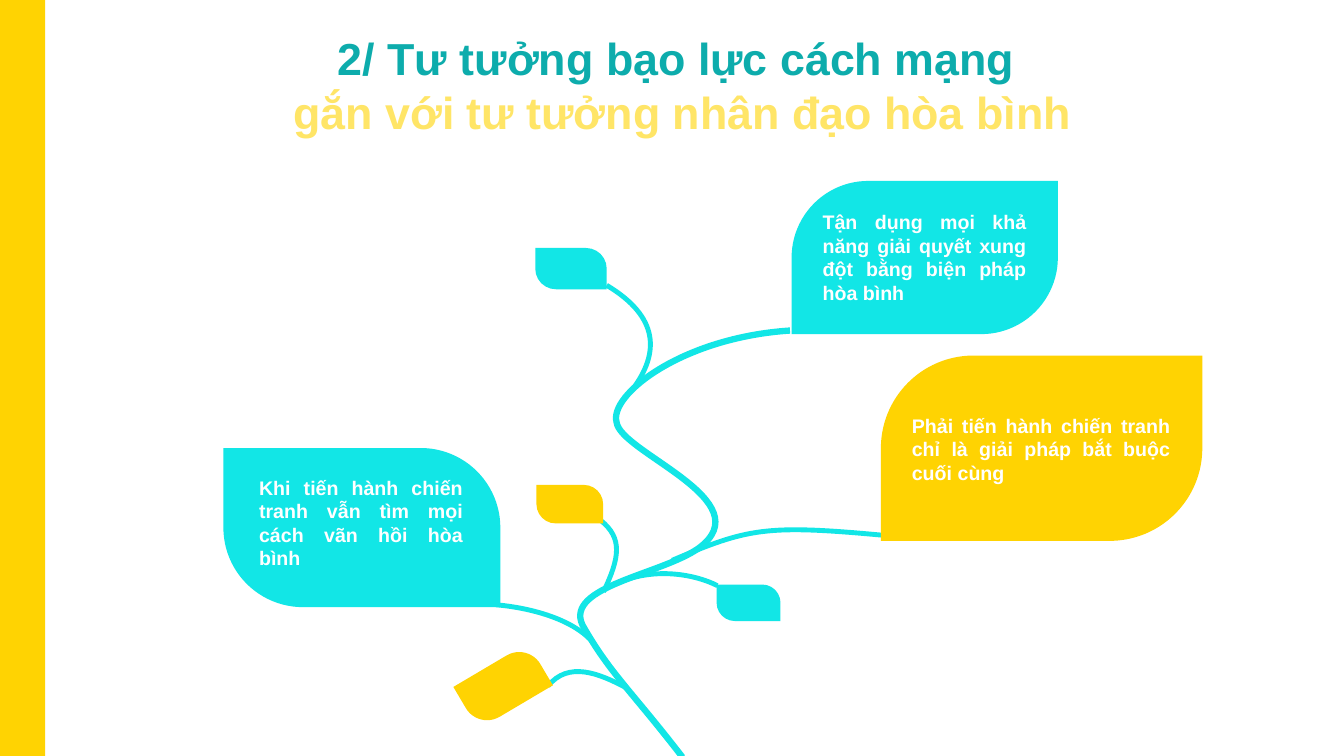
import math
from dataclasses import dataclass

from lxml import etree
from pptx import Presentation
from pptx import util as u
from pptx.dml.color import RGBColor
from pptx.enum import shapes, text
from pptx.oxml import ns


@dataclass(frozen=True)
class Theme:
    cyan: str = "12E6E6"
    yellow: str = "FFD302"
    teal: str = "0DACAC"
    pale: str = "FFE567"
    white: str = "FFFFFF"
    font: str = "Arial"
    title_size: int = 32
    label_size: int = 14
    stem_width: float = 4.5
    twig_width: float = 3.5


def turn(points, center, degrees):
    """Points turned clockwise about a center."""
    cos, sin = math.cos(math.radians(degrees)), math.sin(math.radians(degrees))
    (cx, cy) = center
    return [(cx + (x - cx) * cos - (y - cy) * sin,
             cy + (x - cx) * sin + (y - cy) * cos) for x, y in points]


def curve_bounds(points, steps=40):
    """Opposite corners of the box around a chain of cubic curves."""
    curve = []
    for first in range(0, len(points) - 1, 3):
        a, b, c, d = points[first:first + 4]
        for step in range(steps + 1):
            t = step / steps
            s = 1 - t
            curve.append([
                s**3 * a[i] + 3 * s * s * t * b[i] + 3 * s * t * t * c[i] + t**3 * d[i]
                for i in (0, 1)])
    across, down = zip(*curve)
    return (min(across), min(down)), (max(across), max(down))


class Painter:
    def __init__(self, page, theme):
        self.page = page
        self.theme = theme

    def block(self, kind, place, color):
        shape = self.page.shapes.add_shape(kind, *map(u.Cm, place))
        shape.shadow.inherit = False
        shape.fill.solid()
        shape.fill.fore_color.rgb = RGBColor.from_string(color)
        shape.line.fill.background()
        return shape

    def leaf(self, place, color, rounded, rotation=0):
        shape = self.block(shapes.MSO_SHAPE.ROUND_2_DIAG_RECTANGLE, place, color)
        for index, amount in enumerate(rounded):
            shape.adjustments[index] = amount
        shape.rotation = rotation

    def branch(self, points, width, center=(0, 0), rotation=0):
        points = turn(points, center, -rotation)
        (left, top), (right, bottom) = curve_bounds(points)
        builder = self.page.shapes.build_freeform(u.Cm(left), u.Cm(top))
        builder.add_line_segments([(u.Cm(right), u.Cm(bottom))], close=False)
        shape = builder.convert_to_shape()
        shape.rotation = rotation % 360
        shape.shadow.inherit = False
        shape.fill.background()
        shape.line.color.rgb = RGBColor.from_string(self.theme.cyan)
        shape.line.width = u.Pt(width)

        # Cubic curves take the place of the straight outline
        outline = shape.element.find(".//" + ns.qn("a:path"))
        for command in list(outline):
            outline.remove(command)
        chain = [("a:moveTo", points[:1])]
        chain += [("a:cubicBezTo", points[i:i + 3]) for i in range(1, len(points), 3)]
        for tag, stops in chain:
            command = etree.SubElement(outline, ns.qn(tag))
            for x, y in stops:
                etree.SubElement(command, ns.qn("a:pt"),
                                 x=str(int(u.Cm(x - left))), y=str(int(u.Cm(y - top))))

    def words(self, place, lines, size, align):
        box = self.page.shapes.add_textbox(*map(u.Cm, place))
        frame = box.text_frame
        frame.word_wrap = True
        for index, (wording, color) in enumerate(lines):
            para = frame.add_paragraph() if index else frame.paragraphs[0]
            para.alignment = align
            span = para.add_run()
            span.text = wording
            span.font.name = self.theme.font
            span.font.size = u.Pt(size)
            span.font.bold = True
            span.font.color.rgb = RGBColor.from_string(color)
        return frame

    def label(self, place, wording):
        frame = self.words(place, [(wording, self.theme.white)],
                           self.theme.label_size, text.PP_ALIGN.JUSTIFY)
        frame.auto_size = text.MSO_AUTO_SIZE.SHAPE_TO_FIT_TEXT

    def title(self, place, lines, insets):
        frame = self.words(place, lines, self.theme.title_size, text.PP_ALIGN.CENTER)
        frame.vertical_anchor = text.MSO_ANCHOR.MIDDLE
        (frame.margin_left, frame.margin_top,
         frame.margin_right, frame.margin_bottom) = map(u.Cm, insets)


STEM = [(17.2, 19.08), (15.88, 17.37), (15.37, 16.97), (14.68, 15.75),
        (14.22, 14.78), (16.66, 14.48), (17.6, 13.82),
        (19.25, 12.62), (15.62, 11.4), (15.54, 10.64),
        (15.34, 9.96), (17.17, 8.51), (19.91, 8.33)]

# Curve points, then the center and angle of a turned twig
TWIGS = [
    ([(14.91, 16.15), (14.4, 15.6), (13.39, 15.32), (12.5, 15.24)],),
    ([(15.14, 13.11), (15.7, 13.56), (15.62, 14.05), (15.21, 14.91)],
     (15.24, 13.98), 337.3),
    ([(16.94, 14.12), (18.85, 13.31), (19.28, 13.21), (22.28, 13.49)],),
    ([(15.93, 9.83), (16.64, 8.89), (16.61, 7.98), (15.29, 7.19)],),
    ([(15.6, 14.68), (16.56, 14.27), (17.58, 14.5), (18.08, 14.76)],),
    ([(15.77, 17.32), (15.06, 16.94), (14.3, 16.64), (13.79, 17.27)],
     (14.79, 17.29), 289.9),
]

# Which pair of opposite corners is rounded
RISING, FALLING = (0.5, 0), (0, 0.5)


def main():
    deck = Presentation()
    deck.slide_width, deck.slide_height = u.Cm(33.87), u.Cm(19.05)
    theme = Theme()
    painter = Painter(deck.slides.add_slide(deck.slide_layouts[6]), theme)

    # Side bar
    painter.block(shapes.MSO_SHAPE.RECTANGLE, (0, 0, 1.14, 19.05), theme.yellow)

    # Stem and twigs
    painter.branch(STEM, theme.stem_width)
    for points, *pose in TWIGS:
        painter.branch(points, theme.twig_width, *pose)

    # Small leaves
    painter.leaf((13.49, 6.25, 1.8, 1.04), theme.cyan, FALLING)
    painter.leaf((11.59, 16.67, 2.18, 1.24), theme.yellow, FALLING, 329.4)
    painter.leaf((13.52, 12.22, 1.68, 0.97), theme.yellow, FALLING)
    painter.leaf((18.06, 14.73, 1.61, 0.92), theme.cyan, FALLING)

    # Large leaves with their labels
    for leaf, color, rounded, label, wording in [
        ((19.95, 4.56, 6.71, 3.86), theme.cyan, RISING, (20.48, 5.17, 5.64, 2.64),
         "Tận dụng mọi khả năng giải quyết xung đột bằng biện pháp hòa bình"),
        ((5.63, 11.29, 6.98, 4.01), theme.cyan, FALLING, (6.28, 11.86, 5.64, 2.64),
         "Khi tiến hành chiến tranh vẫn tìm mọi cách vãn hồi hòa bình"),
        ((22.2, 8.96, 8.1, 4.67), theme.yellow, RISING, (22.73, 10.3, 7.02, 2.06),
         "Phải tiến hành chiến tranh chỉ là giải pháp bắt buộc cuối cùng"),
    ]:
        painter.leaf(leaf, color, rounded)
        painter.label(label, wording)

    # Title
    painter.title((0.85, -0.13, 32.18, 2.95),
                  [("2/ Tư tưởng bạo lực cách mạng ", theme.teal),
                   ("gắn với tư tưởng nhân đạo hòa bình", theme.pale)],
                  insets=(0.79, 1.7, 0.25, 0.13))

    deck.save("out.pptx")


if __name__ == "__main__":
    main()
